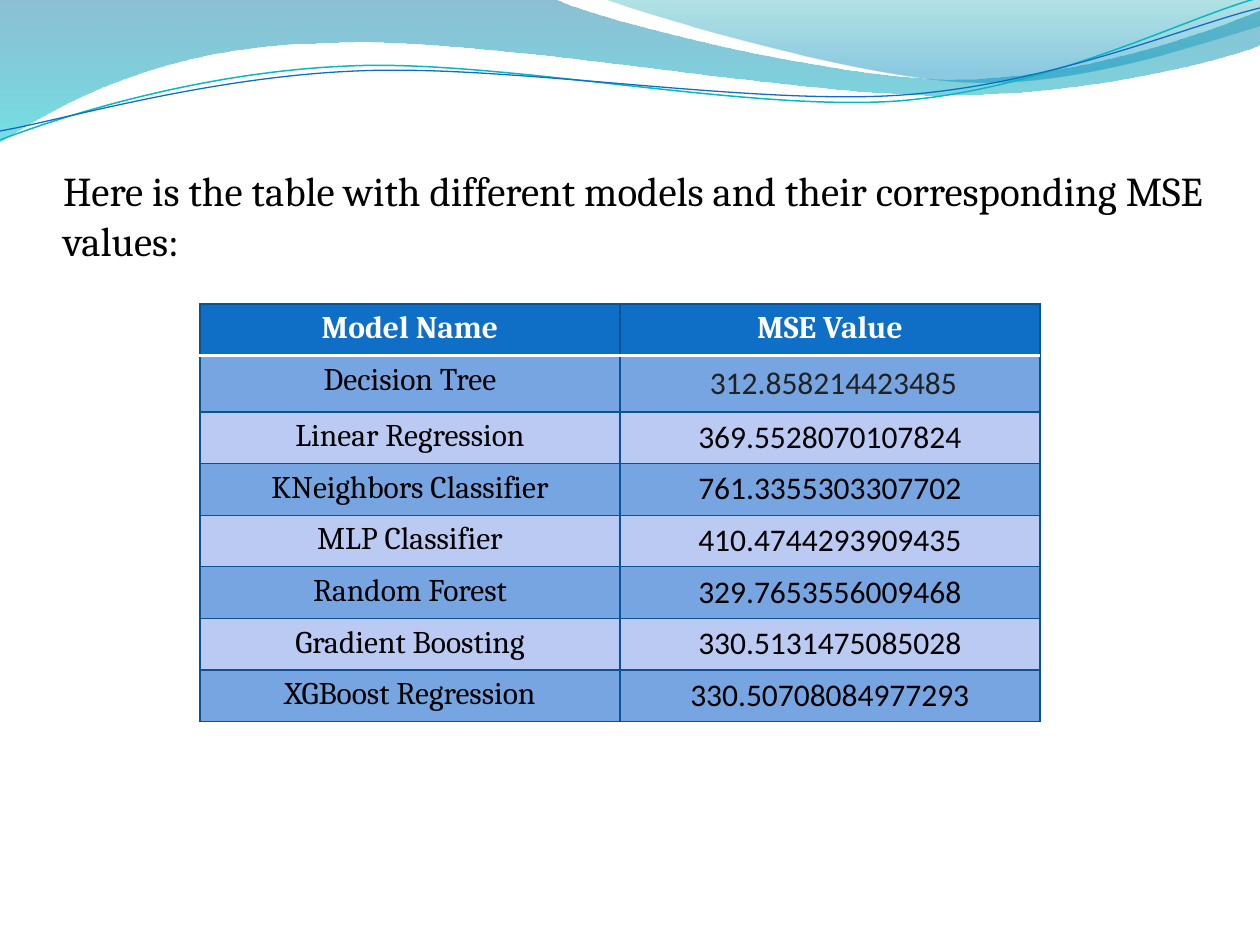
import math

import lxml.etree
import pptx
import pptx.dml.color
import pptx.enum.text
import pptx.oxml.ns
import pptx.util

PX = 914400 // 126
RGB = pptx.dml.color.RGBColor
BLUE = RGB(0x0F, 0x6F, 0xC6)
TEAL = RGB(0x0A, 0xB8, 0xBF)
BORDER = RGB(0x09, 0x52, 0x95)
BAND_DARK = RGB(0x76, 0xA5, 0xE1)
BAND_LIGHT = RGB(0xBB, 0xCA, 0xF3)
WHITE = RGB(0xFF, 0xFF, 0xFF)
BLACK = RGB(0, 0, 0)
GREY = RGB(0x21, 0x21, 0x21)
STRAND_TURN = -2.7
qn = pptx.oxml.ns.qn


def add_wave(shapes, box, pieces, turn, closed):
    """Draw points (2 numbers) and cubic curves (6) in a box turned by some degrees."""
    left, top, width, height = box
    builder = shapes.build_freeform(left, top, scale=PX)
    builder.add_line_segments([(left + width, top + height)], close=False)
    wave = builder.convert_to_shape()
    wave.shadow.inherit = False
    wave.rotation = turn
    path = next(wave._element.iter(qn("a:path")))
    path.set("w", str(width * PX))
    path.set("h", str(height * PX))
    for command in list(path):
        path.remove(command)
    cos, sin = math.cos(math.radians(-turn)), math.sin(math.radians(-turn))
    for index, piece in enumerate(pieces):
        tag = "cubicBezTo" if len(piece) == 6 else "lnTo" if index else "moveTo"
        command = lxml.etree.SubElement(path, qn("a:" + tag))
        for x, y in zip(piece[::2], piece[1::2]):
            dx, dy = x - left - width / 2, y - top - height / 2
            lxml.etree.SubElement(command, qn("a:pt"),
                                  x=str(round((width / 2 + dx * cos - dy * sin) * PX)),
                                  y=str(round((height / 2 + dx * sin + dy * cos) * PX)))
    if closed:
        lxml.etree.SubElement(path, qn("a:close"))
    return wave


def add_border(cell, side, color, width):
    """Give one side of a table cell a solid line."""
    line = lxml.etree.SubElement(cell._tc.get_or_add_tcPr(), qn("a:ln" + side),
                                 w=str(pptx.util.Pt(width)))
    paint = lxml.etree.SubElement(line, qn("a:solidFill"))
    lxml.etree.SubElement(paint, qn("a:srgbClr"), val=str(color))


presentation = pptx.Presentation()
presentation.slide_width = pptx.util.Inches(10)
presentation.slide_height = pptx.util.Inches(7.5)
slide = presentation.slides.add_slide(presentation.slide_layouts[5])

# Wave bands: box, outline, then (position, colour, opacity in percent) of each stop
bands = [
    ((-1, -1, 1262, 143),
     [(-1, -1), (554, -1), (600, 21, 837, 79, 955, 79), (1075, 79, 1207, 33, 1260, 11),
      (1261, 45), (1239, 55, 1096, 96, 940, 95), (784, 95, 481, 35, 324, 43),
      (163, 45, 58, 105, -1, 142)],
     [(0, RGB(0x00, 0x74, 0xA1), 45), (1, RGB(0x00, 0xC6, 0xCF), 55)]),
    ((604, -1, 656, 88),
     [(604, -1), (641, 14, 859, 78, 969, 82), (1079, 87, 1211, 40, 1260, 26), (1260, 0)],
     [(0, RGB(0x00, 0xA1, 0xA9), 30), (0.8, RGB(0x00, 0x8B, 0xBF), 45)]),
]
for box, outline, stops in bands:
    band = add_wave(slide.shapes, box, outline, 0, True)
    band.line.fill.background()
    band.fill.gradient()
    band.fill.gradient_angle = 270
    for stop, (position, color, opacity) in zip(band.fill.gradient_stops, stops):
        stop.position = position
        stop.color.rgb = color
    tints = list(band._element.spPr.iter(qn("a:srgbClr")))
    for tint, (position, color, opacity) in zip(tints, stops):
        lxml.etree.SubElement(tint, qn("a:alpha"), val=str(opacity * 1000))

# Thin wave lines
strands = [
    ((-2, 28, 1262, 89),
     [(0, 140), (60, 117, 199, 72, 349, 66), (498, 59, 747, 112, 898, 101),
      (1050, 89, 1182, 19, 1258, -2)], TEAL, 0.85),
    ((-2, 38, 1264, 73),
     [(0, 131), (59, 121, 207, 77, 357, 71), (508, 64, 752, 106, 903, 95),
      (1053, 84, 1186, 26, 1260, 8)], BLUE, 0.75),
]
for box, outline, color, width in strands:
    strand = add_wave(slide.shapes, box, outline, STRAND_TURN, False)
    strand.fill.background()
    strand.line.color.rgb = color
    strand.line.width = pptx.util.Pt(width)

# Title, in front of the waves
title = slide.shapes.title
slide.shapes._spTree.append(title._element)
placement = {"left": 63, "top": 97, "width": 1155, "height": 806}
for name, value in placement.items():
    setattr(title, name, value * PX)
frame = title.text_frame
frame.text = "Here is the table with different models and their corresponding MSE values:"
frame_format = {
    "margin_left": 0, "margin_right": 0, "margin_top": 69 * PX, "margin_bottom": 0,
    "word_wrap": True, "auto_size": pptx.enum.text.MSO_AUTO_SIZE.NONE,
    "vertical_anchor": pptx.enum.text.MSO_ANCHOR.TOP,
}
for name, value in frame_format.items():
    setattr(frame, name, value)
frame.paragraphs[0].alignment = pptx.enum.text.PP_ALIGN.LEFT
title_font = frame.paragraphs[0].runs[0].font
for name, value in {"name": "Cambria", "size": pptx.util.Pt(23.4)}.items():
    setattr(title_font, name, value)
title_font.color.rgb = BLACK

# Table of models
results = [
    ("Model Name", "MSE Value"),
    ("Decision Tree", " 312.858214423485"),
    ("Linear Regression", "369.5528070107824"),
    ("KNeighbors Classifier", "761.3355303307702"),
    ("MLP Classifier", "410.4744293909435"),
    ("Random Forest", "329.7653556009468"),
    ("Gradient Boosting", "330.5131475085028"),
    ("XGBoost Regression", "330.50708084977293"),
]
models = slide.shapes.add_table(len(results), 2, 200 * PX, 304 * PX,
                                840 * PX, 413 * PX).table
for r, result in enumerate(results):
    for c, wording in enumerate(result):
        cell = models.cell(r, c)
        for side in "LRTB":
            under_header = (r, side) in ((0, "B"), (1, "T"))
            add_border(cell, side, WHITE if under_header else BORDER,
                       2 if under_header else 0.75)
        cell.fill.solid()
        cell.fill.fore_color.rgb = (BLUE if r == 0 else
                                    BAND_DARK if r % 2 else BAND_LIGHT)
        cell.text = wording
        paragraph = cell.text_frame.paragraphs[0]
        paragraph.alignment = pptx.enum.text.PP_ALIGN.CENTER
        font = paragraph.runs[0].font
        font_format = {"name": "Calibri" if r and c else "Cambria",
                       "size": pptx.util.Pt(18), "bold": r == 0}
        for name, value in font_format.items():
            setattr(font, name, value)
        font.color.rgb = WHITE if r == 0 else BLACK

# The first value is greyer and has wider margins
first_value = models.cell(1, 1)
for side in ("left", "right", "top", "bottom"):
    setattr(first_value, "margin_" + side, 9 * PX)
first_value.text_frame.paragraphs[0].runs[0].font.color.rgb = GREY

presentation.save("out.pptx")
